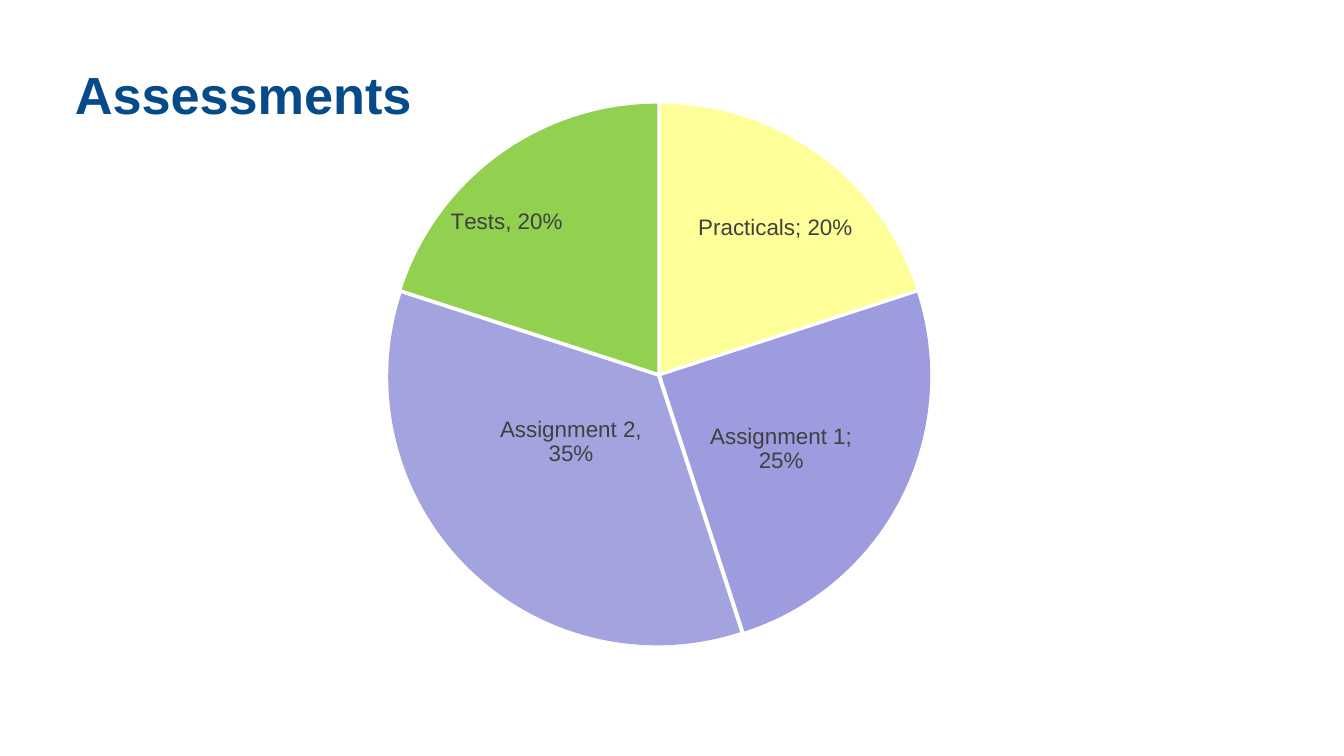
from lxml.etree import SubElement
from pptx import Presentation
from pptx.chart.data import CategoryChartData
from pptx.dml.color import RGBColor
from pptx.enum.chart import XL_CHART_TYPE, XL_LABEL_POSITION as LabelPosition
from pptx.enum.text import MSO_ANCHOR, PP_ALIGN
from pptx.oxml import parse_xml
from pptx.oxml.ns import nsdecls, qn
from pptx.util import Cm, Pt

BLUE = RGBColor(0x05, 0x4A, 0x89)
GREY = RGBColor(0x40, 0x40, 0x40)
BLACK = RGBColor(0, 0, 0)
YELLOW = RGBColor(0xFF, 0xFF, 0x99)
VIOLET = RGBColor(0x9C, 0x9C, 0xDF)
LILAC = RGBColor(0xA3, 0xA3, 0xE0)
GREEN = RGBColor(0x92, 0xD0, 0x50)

# name, share, colour, separator in the label, label shift as a part of the chart
ASSESSMENTS = [
    ("Practicals", 0.2, YELLOW, "; ", (0.04, -0.06)),
    ("Assignment 1", 0.25, VIOLET, ";\n", (0, 0.02)),
    ("Assignment 2", 0.35, LILAC, ",\n", (0.01, -0.05)),
    ("Tests", 0.2, GREEN, ", ", (-0.08, -0.07)),
]


def format_font(font, size, colour, bold=False):
    font.name, font.size, font.bold = "Arial", Pt(size), bold
    font.color.rgb = colour


def write_text(shape, text, size, colour, bold=False, line_spacing=1.0):
    paragraph = shape.text_frame.paragraphs[0]
    paragraph.alignment = PP_ALIGN.LEFT
    paragraph.line_spacing = line_spacing
    run = paragraph.add_run()
    run.text = text
    format_font(run.font, size, colour, bold)


def manual_layout(**settings):
    """Return a c:layout element with the given settings in schema order."""
    children = "".join(f'<c:{name} val="{value}"/>' for name, value in settings.items())
    return parse_xml(f'<c:layout {nsdecls("c")}><c:manualLayout>{children}'
                     "</c:manualLayout></c:layout>")


class SlideBuilder:
    def __init__(self, presentation):
        self.slide = presentation.slides.add_slide(presentation.slide_layouts[5])

    def title(self, text, left, top, width, height):
        title = self.slide.shapes.title
        title.left, title.top, title.width, title.height = left, top, width, height
        title.text_frame.vertical_anchor = MSO_ANCHOR.MIDDLE
        write_text(title, text, size=28, colour=BLUE, bold=True, line_spacing=0.9)

    def pie(self, assessments, left, top, width, height):
        data = CategoryChartData(number_format="0%")
        data.categories = [name for name, *_ in assessments]
        data.add_series("Series 1", [share for _, share, *_ in assessments])
        chart = self.slide.shapes.add_chart(
            XL_CHART_TYPE.PIE, left, top, width, height, data).chart
        chart.has_legend = chart.has_title = False
        format_font(chart.font, 10, BLACK)

        plot_area = chart.plots[0]._element.getparent()
        for layout in plot_area.findall(qn("c:layout")):
            plot_area.remove(layout)
        plot_area.insert(0, manual_layout(
            layoutTarget="inner", xMode="edge", yMode="edge",
            x=0.18, y=0.04, w=0.61, h=0.91))

        series = chart.plots[0].series[0]
        explosion = parse_xml(f'<c:explosion {nsdecls("c")} val="1"/>')
        series._element.find(qn("c:tx")).addnext(explosion)
        for index, (_, _, colour, separator, shift) in enumerate(assessments):
            point = series.points[index]
            self.slice(point, colour)
            format_font(point.data_label.font, 12, GREY)
            point.data_label.position = LabelPosition.CENTER
            label = series._element.find(qn("c:dLbls")).findall(qn("c:dLbl"))[index]
            self.label_details(label, separator, shift)

    def slice(self, point, colour):
        point.format.fill.solid()
        point.format.fill.fore_color.rgb = colour
        point.format.line.fill.background()

    def label_details(self, label, separator, shift):
        """Show name and value, with their separator, at a shifted place."""
        label.find(qn("c:idx")).addnext(manual_layout(x=shift[0], y=shift[1]))
        label.find(qn("c:showCatName")).set("val", "1")
        SubElement(label, qn("c:separator")).text = separator


def main():
    presentation = Presentation()
    presentation.slide_width, presentation.slide_height = Cm(25.4), Cm(14.29)
    builder = SlideBuilder(presentation)
    builder.title("Assessments", Cm(1.16), Cm(1.15), Cm(23.04), Cm(1.4))
    builder.pie(ASSESSMENTS, Cm(4.24), Cm(1.5), Cm(16.94), Cm(11.28))
    presentation.save("out.pptx")


if __name__ == "__main__":
    main()
